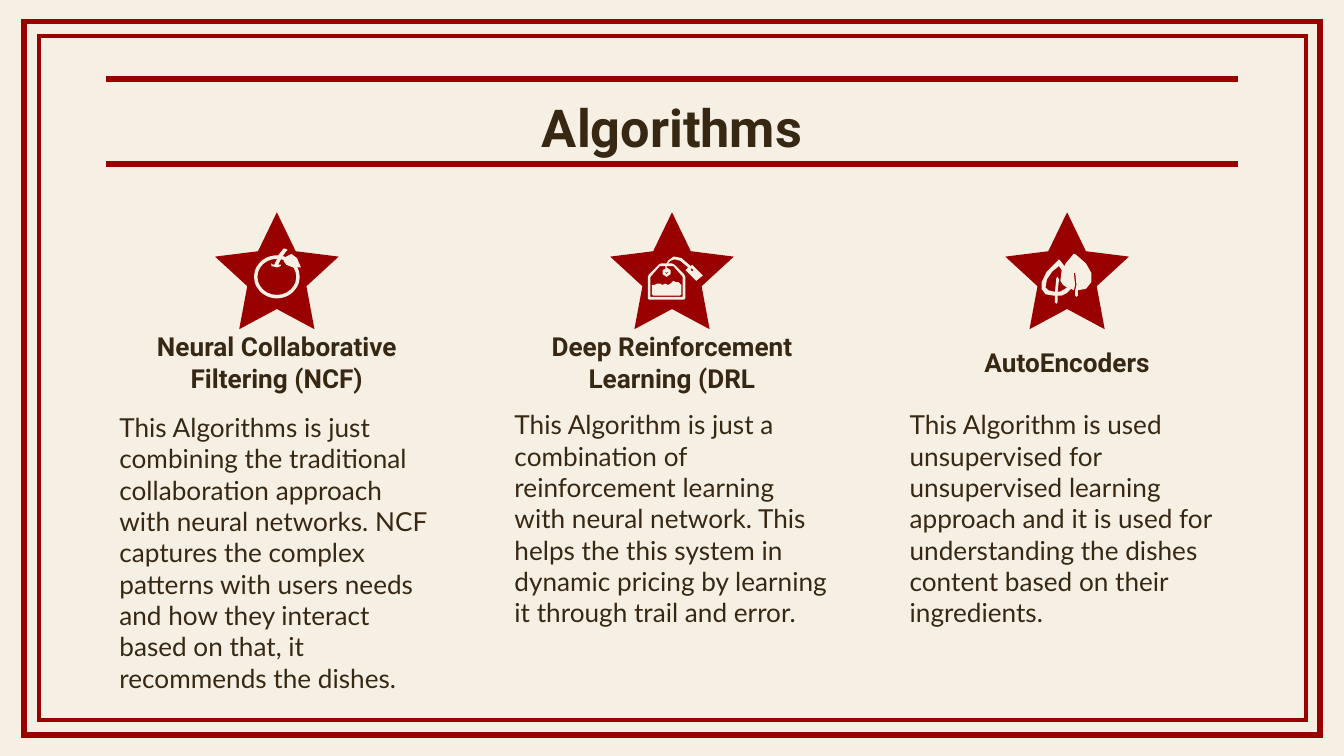
from lxml.etree import SubElement
from pptx import Presentation
from pptx.dml.color import RGBColor
from pptx.enum.shapes import MSO_CONNECTOR, MSO_SHAPE
from pptx.enum.text import MSO_ANCHOR as Anchor, MSO_AUTO_SIZE, PP_ALIGN as Align
from pptx.oxml.ns import qn
from pptx.util import Inches, Pt

COLORS = {"paper": "F6F0E4", "red": "990000", "ink": "372814"}

TITLE = "Algorithms"
# heading, description, top of the description
COLUMNS = [
    ("Neural Collaborative Filtering (NCF)",
     "This Algorithms is just combining the traditional collaboration approach "
     "with neural networks. NCF captures the complex patterns with users needs "
     "and how they interact based on that, it recommends the dishes.", 2.96),
    ("Deep Reinforcement Learning (DRL",
     "This Algorithm is just a combination of reinforcement learning with neural "
     "network. This helps the this system in dynamic pricing by learning it "
     "through trail and error.", 2.94),
    ("AutoEncoders",
     "This Algorithm is used unsupervised for unsupervised learning approach and "
     "it is used for understanding the dishes content based on their ingredients.",
     2.94),
]

FORMATS = {
    "title": {"name": "Roboto", "size": Pt(28), "bold": True},
    "heading": {"name": "Roboto", "size": Pt(14), "bold": True},
    "description": {"name": "Lato", "size": Pt(14), "bold": False},
}

# Outlines in hundredths of an inch, measured from the top point of the star
STAR_HALF = [(14, 29), (46, 33), (22, 55), (28, 87)]
STAR = [(0, 0), *STAR_HALF, (0, 72), *[(-x, y) for x, y in reversed(STAR_HALF)]]

FRUIT_RING = (-17, 32, 34, 32)
FRUIT_STEM = [(6, 27), (5, 27), (1, 32), (0, 35), (-2, 39), (-3, 39), (-4, 38),
              (-4, 40), (0, 41), (3, 40), (3, 39), (1, 39), (3, 35), (4, 33),
              (7, 29), (8, 28)]
FRUIT_LEAF = [(5, 36), (7, 33), (11, 31), (15, 34), (18, 41), (12, 41), (7, 39)]

BAG_OUTLINE = [(2, 33), (1, 33), (-3, 36), (-4, 38), (-8, 38), (-10, 39), (-17, 46),
               (-18, 48), (-18, 64), (-17, 65), (9, 65), (10, 64), (10, 48),
               (9, 46), (2, 39), (0, 38), (-3, 38), (-1, 36), (2, 35), (6, 36),
               (12, 41), (10, 43), (18, 51), (23, 47), (15, 39), (14, 40),
               (7, 34)]
BAG_INSIDE = [(0, 40), (1, 40), (8, 48), (8, 63), (-16, 63), (-16, 48), (-9, 40),
              (-5, 40), (-5, 42), (-7, 43), (-7, 46), (-4, 48), (-1, 46),
              (-1, 43), (-4, 41), (-4, 40)]
BAG_EYELET = [(-3, 44), (-3, 45), (-4, 46), (-5, 45), (-5, 44), (-4, 45)]
TAG_HOLE = [(14, 42), (15, 42), (16, 43), (15, 44), (14, 43)]
TEA = [(1, 51), (-1, 53), (-3, 54), (-5, 53), (-7, 54), (-9, 53), (-11, 53),
       (-13, 54), (-15, 54), (-15, 61), (-14, 62), (6, 62), (7, 61), (7, 54),
       (5, 52), (3, 52)]

LEAVES_OUTLINE = [(5, 31), (4, 32), (-1, 38), (-2, 40), (-5, 36), (-6, 35), (-7, 36),
                  (-15, 44), (-19, 52), (-19, 57), (-16, 61), (-10, 62), (-9, 62),
                  (-9, 67), (-8, 68), (-7, 67), (-7, 62), (-4, 62), (0, 60),
                  (3, 57), (5, 58), (6, 54), (5, 45), (6, 45), (7, 54), (6, 58),
                  (6, 62), (7, 63), (8, 62), (8, 58), (14, 57), (18, 52),
                  (18, 45), (14, 38), (6, 31)]
LEAF_INSIDE = [(-6, 40), (-4, 43), (-5, 51), (-3, 54), (0, 56), (-5, 59), (-7, 59),
               (-6, 50), (-7, 48), (-8, 49), (-9, 59), (-10, 59), (-14, 58),
               (-16, 56), (-15, 50), (-11, 44)]

# One list of outlines per column; inner outlines cut holes
ICONS = [
    [[FRUIT_STEM], [FRUIT_LEAF]],
    [[BAG_OUTLINE, BAG_INSIDE, BAG_EYELET, TAG_HOLE], [TEA]],
    [[LEAVES_OUTLINE, LEAF_INSIDE]],
]

FRAMES = [(0.18, 0.16, 9.64, 5.31, 3), (0.29, 0.27, 9.43, 5.09, 2.25)]
SLIDE_WIDTH = 10
SLIDE_HEIGHT = SLIDE_WIDTH * 9 / 16
LEFT, WIDTH = 0.79, 8.42
TITLE_TOP, TITLE_HEIGHT = 0.59, 0.63
COLUMN_WIDTH = 2.54
PITCH = (WIDTH - COLUMN_WIDTH) / (len(COLUMNS) - 1)
STAR_TOP, HEADING_TOP = 1.58, 2.49


def color(name):
    return RGBColor.from_string(COLORS[name])


def box(*lengths):
    return [Inches(length) for length in lengths]


def paint(shape, name):
    shape.shadow.inherit = False
    shape.fill.solid()
    shape.fill.fore_color.rgb = color(name)
    shape.line.fill.background()


def draw_outlines(slide, outlines, center, name):
    """Draw closed outlines as one shape, hung from the star's top point."""
    builder = slide.shapes.build_freeform(*outlines[0][0], scale=Inches(0.01))
    for number, points in enumerate(outlines):
        if number:
            builder.move_to(*points[0])
        builder.add_line_segments(points[1:], close=True)
    paint(builder.convert_to_shape(*box(center, STAR_TOP)), name)


def write(shape, text, role, align, anchor):
    frame = shape.text_frame
    settings = {"word_wrap": True, "auto_size": MSO_AUTO_SIZE.NONE,
                "vertical_anchor": anchor}
    for side in ("left", "top", "right", "bottom"):
        settings[f"margin_{side}"] = Inches(0.1)
    for key, value in settings.items():
        setattr(frame, key, value)
    frame.text = text
    paragraph = frame.paragraphs[0]
    paragraph.alignment = align
    font = paragraph.runs[0].font
    for key, value in FORMATS[role].items():
        setattr(font, key, value)
    font.color.rgb = color("ink")
    return paragraph


def add_frames(slide):
    for *place, weight in FRAMES:
        frame = slide.shapes.add_shape(MSO_SHAPE.RECTANGLE, *box(*place))
        frame.shadow.inherit = False
        frame.fill.background()
        frame.line.color.rgb = color("red")
        frame.line.width = Pt(weight)
        SubElement(frame._element.spPr.find(qn("a:ln")), qn("a:miter"), lim="800000")


def add_title(slide):
    title = slide.shapes.title
    title.left, title.top, title.width, title.height = box(
        LEFT, TITLE_TOP, WIDTH, TITLE_HEIGHT)
    write(title, TITLE, "title", Align.CENTER, Anchor.MIDDLE).line_spacing = 1.15
    for y in (TITLE_TOP, TITLE_TOP + TITLE_HEIGHT):
        rule = slide.shapes.add_connector(
            MSO_CONNECTOR.STRAIGHT, *box(LEFT, y, LEFT + WIDTH, y))
        rule.line.color.rgb = color("red")
        rule.line.width = Pt(3)
        SubElement(rule._element.spPr, qn("a:effectLst"))


def add_columns(slide):
    for number, (heading, description, top) in enumerate(COLUMNS):
        left = LEFT + number * PITCH
        center = left + COLUMN_WIDTH / 2
        draw_outlines(slide, [STAR], center, "red")
        for outlines in ICONS[number]:
            draw_outlines(slide, outlines, center, "paper")
        heading_box = slide.shapes.add_textbox(
            *box(left, HEADING_TOP, COLUMN_WIDTH, 0.41))
        write(heading_box, heading, "heading", Align.CENTER, Anchor.MIDDLE)
        description_box = slide.shapes.add_textbox(*box(left, top, COLUMN_WIDTH, 2.2))
        write(description_box, description, "description", Align.LEFT, Anchor.TOP)


def add_fruit_ring(slide):
    x, y, width, height = (length / 100 for length in FRUIT_RING)
    ring = slide.shapes.add_shape(MSO_SHAPE.DONUT, *box(
        LEFT + COLUMN_WIDTH / 2 + x, STAR_TOP + y, width, height))
    ring.adjustments[0] = 0.08
    paint(ring, "paper")


def main():
    deck = Presentation()
    deck.slide_width, deck.slide_height = box(SLIDE_WIDTH, SLIDE_HEIGHT)
    slide = deck.slides.add_slide(deck.slide_layouts.get_by_name("Title Only"))
    slide.background.fill.solid()
    slide.background.fill.fore_color.rgb = color("paper")
    add_frames(slide)
    add_title(slide)
    add_columns(slide)
    add_fruit_ring(slide)
    deck.save("out.pptx")


if __name__ == "__main__":
    main()
